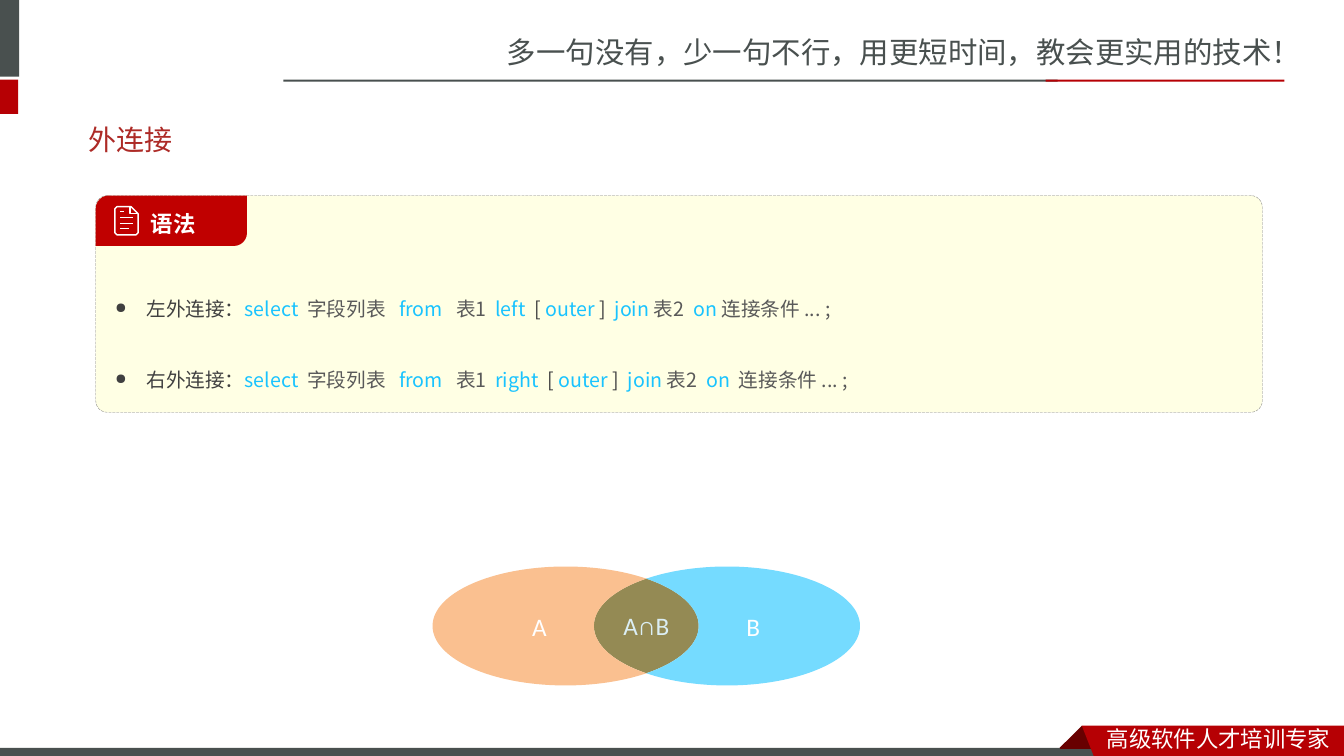
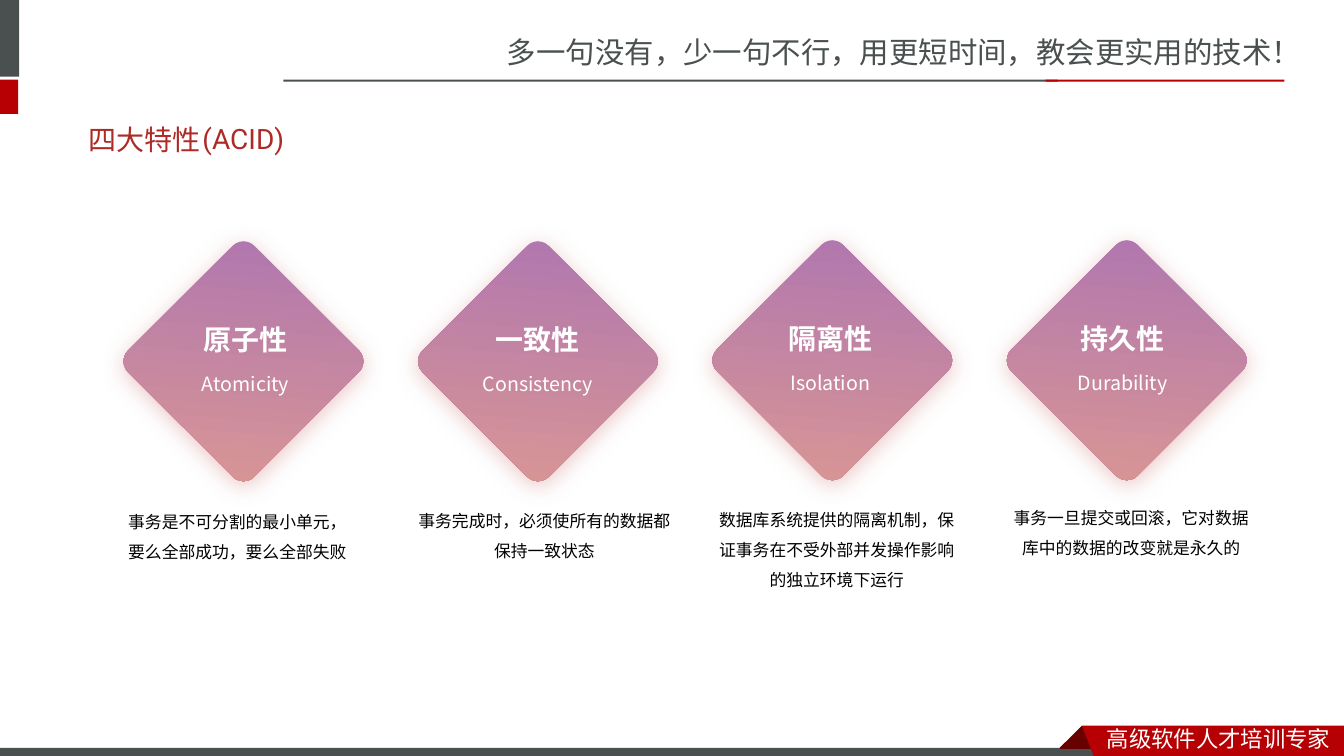
from dataclasses import dataclass
from math import acos, cos, degrees, radians, sin, tan

from lxml.etree import SubElement
from pptx import Presentation
from pptx.dml.color import RGBColor
from pptx.enum.dml import MSO_LINE
from pptx.enum.shapes import MSO_SHAPE
from pptx.enum.text import MSO_ANCHOR, PP_ALIGN
from pptx.oxml.ns import qn
from pptx.util import Inches, Pt


@dataclass(frozen=True)
class Theme:
    grey: str = "49504F"
    red: str = "B60004"
    fold: str = "680000"
    title: str = "AD2A26"
    white: str = "FFFFFF"
    black: str = "000000"
    panel: str = "FFFFE4"
    panel_edge: str = "808080"
    tab: str = "C00000"
    label: str = "404040"
    operand: str = "595959"
    keyword: str = "19C3FF"
    set_a: str = "FAC090"
    set_b: str = "75DBFF"
    overlap: str = "948A54"
    overlap_text: str = "DBEEF4"
    purple: str = "AF76B0"
    pink: str = "D99694"
    sc: str = "Noto Sans CJK SC"
    jp: str = "Noto Sans CJK JP"
    title_font: str = "Roboto"
    set_font: str = "Calibri"
    slogan_size: int = 21
    heading_size: int = 20
    set_size: int = 18
    tab_size: int = 16
    code_size: int = 14
    body_size: int = 12


T = Theme()

SLOGAN = "多一句没有，少一句不行，用更短时间，教会更实用的技术！"
FOOTER = "高级软件人才培训专家"
# left, top, width, height, colour
BANDS = [
    (-0.06, 0, 0.25, 0.76, T.grey),
    (-0.06, 0.79, 0.24, 0.34, T.red),
    (2.81, 0.79, 7.68, 0.02, T.grey),
    (10.37, 0.79, 2.37, 0.02, T.red),
    (-0.01, 7.42, 11, 0.11, T.grey),
]
RIBBON_FOLD = [(10.73, 7.2), (10.95, 7.42), (10.94, 7.43), (10.52, 7.43), (10.51, 7.42)]
RIBBON = [(10.73, 7.2), (13.33, 7.2), (13.33, 7.54), (10.86, 7.53)]

# label, side, spaces after "on"
JOINS = [("左外连接：", "left", 1), ("右外连接：", "right", 2)]
DOCUMENT_STROKES = [
    [(1.16, 2.05), (1.3, 2.05), (1.37, 2.12), (1.37, 2.31), (1.35, 2.33),
     (1.16, 2.33), (1.14, 2.31), (1.14, 2.07), (1.16, 2.05)],
    [(1.29, 2.05), (1.29, 2.12), (1.37, 2.12)],
    [(1.19, 2.1), (1.23, 2.1)],
    [(1.19, 2.16), (1.32, 2.16)],
    [(1.19, 2.22), (1.32, 2.22)],
    [(1.19, 2.27), (1.28, 2.27)],
]

# name, English name, diamond top, description, its left, top, width, height
PROPERTIES = [
    ("原子性", "Atomicity", 2.7, "事务是不可分割的最小单元，要么全部成功，要么全部失败",
     (1.17, 4.93, 2.37, 0.67)),
    ("一致性", "Consistency", 2.7, "事务完成时，必须使所有的数据都保持一致状态",
     (4.01, 4.92, 2.78, 0.67)),
    ("隔离性", "Isolation", 2.69,
     "数据库系统提供的隔离机制，保证事务在不受外部并发操作影响的独立环境下运行",
     (7, 4.91, 2.6, 0.98)),
    ("持久性", "Durability", 2.69, "事务一旦提交或回滚，它对数据库中的数据的改变就是永久的",
     (9.92, 4.89, 2.6, 0.67)),
]


def box(*lengths):
    return [Inches(length) for length in lengths]


def style_run(run, size, color, font, bold=False, east_asian=None):
    run.font.size = Pt(size)
    run.font.bold = bold
    run.font.color.rgb = RGBColor.from_string(color)
    run.font.name = font
    SubElement(run._r.get_or_add_rPr(), qn("a:ea"), typeface=east_asian or font)


def write(shape, text, size, color, font=T.sc, bold=False, align=PP_ALIGN.LEFT,
          leading=None, east_asian=None, anchor=None):
    shape.text_frame.text = text
    if anchor is not None:
        shape.text_frame.vertical_anchor = anchor
    paragraph = shape.text_frame.paragraphs[0]
    paragraph.alignment = align
    if leading:
        paragraph.line_spacing = Pt(leading)
    style_run(paragraph.runs[0], size, color, font, bold, east_asian)


def add_text(slide, place, text, size, color, **style):
    label = slide.shapes.add_textbox(*box(*place))
    label.text_frame.word_wrap = True
    write(label, text, size, color, **style)


def paint(shape, color):
    shape.shadow.inherit = False
    shape.fill.solid()
    shape.fill.fore_color.rgb = RGBColor.from_string(color)
    shape.line.fill.background()
    return shape


def add_block(slide, kind, place, color):
    return paint(slide.shapes.add_shape(kind, *box(*place)), color)


def add_outline(slide, points, color):
    start, *rest = [box(*point) for point in points]
    builder = slide.shapes.build_freeform(*start, scale=1.0)
    builder.add_line_segments(rest, close=True)
    return paint(builder.convert_to_shape(), color)


def bend(shape):
    """Turn each three line segments of an outline into one Bézier curve."""
    lines = list(shape.element.iter(qn("a:lnTo")))
    for first, second, third in zip(lines[::3], lines[1::3], lines[2::3]):
        first.tag = qn("a:cubicBezTo")
        for line in (second, third):
            first.append(line[0])
            line.getparent().remove(line)


def furnish_layout(slide, layout):
    """Draw the shared bands, slogan and ribbon, then move them to the layout."""
    add_text(slide, (4.93, 0.29, 8.41, 0.47), SLOGAN, T.slogan_size, T.grey)
    for *place, color in BANDS:
        add_block(slide, MSO_SHAPE.RECTANGLE, place, color)
    add_outline(slide, RIBBON_FOLD, T.fold)
    add_outline(slide, RIBBON, T.red)
    add_text(slide, (10.88, 7.14, 2.45, 0.37), FOOTER, T.tab_size, T.white)
    for shape in list(slide.shapes):
        if not shape.is_placeholder:
            layout.shapes.element.append(shape.element)


def set_title(slide, text):
    title = slide.shapes.title
    title.left, title.top, title.width, title.height = box(0.78, 1.1, 11.7, 0.57)
    write(title, text, T.heading_size, T.title, font=T.title_font, east_asian=T.sc,
          anchor=MSO_ANCHOR.MIDDLE)


def join_syntax(label, side, gap_after_on):
    """List the parts of a join as text, colour and gap after it in spaces."""
    return [
        (label, T.label, 0), ("select", T.keyword, 2), ("字段列表", T.operand, 3),
        ("from", T.keyword, 3), ("表1", T.operand, 2), (side, T.keyword, 2),
        ("[", T.label, 1), ("outer", T.keyword, 1), ("]", T.label, 2),
        ("join", T.keyword, 1), ("表2", T.operand, 2), ("on", T.keyword, gap_after_on),
        ("连接条件 ... ;", T.operand, 0),
    ]


def add_join(paragraph, join):
    properties = paragraph._p.get_or_add_pPr()
    properties.set("marL", str(Inches(0.31)))
    properties.set("indent", str(Inches(-0.31)))
    bullet_color = SubElement(properties, qn("a:buClr"))
    SubElement(bullet_color, qn("a:srgbClr"), val=T.label)
    SubElement(properties, qn("a:buSzPct"), val="75000")
    SubElement(properties, qn("a:buChar"), char="●")
    paragraph.alignment = PP_ALIGN.LEFT
    paragraph.line_spacing = Pt(50.7)
    for text, color, gap in join_syntax(*join):
        run = paragraph.add_run()
        run.text = text + " " if gap == 1 else text
        style_run(run, T.code_size, color, T.jp)
        if gap > 1:
            spacer = paragraph.add_run()
            spacer.text = " "
            style_run(spacer, T.code_size, color, T.jp)
            spacer._r.get_or_add_rPr().set("spc", str((gap - 1) * 310))


def add_syntax_panel(slide):
    panel = add_block(slide, MSO_SHAPE.ROUNDED_RECTANGLE, (0.95, 1.94, 11.57, 2.15), T.panel)
    panel.adjustments[0] = 0.053
    panel.line.color.rgb = RGBColor.from_string(T.panel_edge)
    panel.line.width = Pt(0.25)
    panel.line.dash_style = MSO_LINE.LONG_DASH
    frame = panel.text_frame
    frame.vertical_anchor = MSO_ANCHOR.TOP
    frame.margin_left, frame.margin_top, frame.margin_right, frame.margin_bottom = box(
        0.16, 0.5, 0.08, 0.28)
    for index, join in enumerate(JOINS):
        add_join(frame.add_paragraph() if index else frame.paragraphs[0], join)

    tab = add_block(slide, MSO_SHAPE.ROUND_2_DIAG_RECTANGLE, (0.95, 1.94, 1.5, 0.5), T.tab)
    tab.adjustments[0], tab.adjustments[1] = 0.258, 0
    frame = tab.text_frame
    frame.margin_left, frame.margin_top, frame.margin_bottom = box(0.51, 0.05, 0)
    write(tab, "语法", T.tab_size, T.white, font=T.jp, bold=True)

    first, *others = [[box(*point) for point in stroke] for stroke in DOCUMENT_STROKES]
    builder = slide.shapes.build_freeform(*first[0], scale=1.0)
    builder.add_line_segments(first[1:], close=False)
    for start, *rest in others:
        builder.move_to(*start)
        builder.add_line_segments(rest, close=False)
    document = builder.convert_to_shape()
    document.shadow.inherit = False
    document.fill.background()
    document.line.color.rgb = RGBColor.from_string(T.white)
    document.line.width = Pt(1)


def add_venn(slide):
    center_a, center_b, middle = 5.61, 7.21, 6.21
    radius_x, radius_y = 1.32, 0.59
    cross = degrees(acos((center_b - center_a) / 2 / radius_x))

    def arc(center, *stops):
        """Give two control points and an end point for each pair of angles."""
        points = []
        for start, end in zip(stops, stops[1:]):
            a, b = radians(start), radians(end)
            k = 4 / 3 * tan((b - a) / 4)
            unit = [(cos(a) - k * sin(a), sin(a) + k * cos(a)),
                    (cos(b) + k * sin(b), sin(b) - k * cos(b)), (cos(b), sin(b))]
            points += [(center + radius_x * x, middle + radius_y * y) for x, y in unit]
        return points

    inner_a = arc(center_a, cross, 0, -cross)
    inner_b = arc(center_b, 180 + cross, 180, 180 - cross)
    outer_a = arc(center_a, cross, 90, 180, 270, 360 - cross)
    outer_b = arc(center_b, 180 + cross, 270, 360, 450, 540 - cross)
    regions = [
        ("A∩B", inner_a + inner_b, T.overlap, T.overlap_text),
        ("B", outer_b + inner_a, T.set_b, T.white),
        ("A", outer_a + inner_b, T.set_a, T.white),
    ]
    for name, points, fill, color in regions:
        region = add_outline(slide, points[-1:] + points, fill)
        bend(region)
        write(region, name, T.set_size, color, font=T.set_font, align=PP_ALIGN.CENTER,
              anchor=MSO_ANCHOR.MIDDLE)


def add_diamond(slide, left, top, side):
    diamond = add_block(slide, MSO_SHAPE.ROUNDED_RECTANGLE, (left, top, side, side), T.pink)
    diamond.adjustments[0] = 0.085
    diamond.rotation = 45
    diamond.fill.gradient()
    diamond.fill.gradient_angle = 310
    for stop, color in zip(diamond.fill.gradient_stops, (T.purple, T.pink)):
        stop.color.rgb = RGBColor.from_string(color)
    effects = diamond.element.spPr.find(qn("a:effectLst"))
    glow = SubElement(effects, qn("a:outerShdw"), blurRad=str(Pt(16)), dist=str(Pt(3)),
                      dir="5400000", algn="t", rotWithShape="0")
    glow_color = SubElement(glow, qn("a:srgbClr"), val=T.pink)
    SubElement(glow_color, qn("a:alpha"), val="52000")


def add_properties(slide):
    for index, (name, english, top, description, place) in enumerate(PROPERTIES):
        label_left = 1.46 + index * 2.9
        add_diamond(slide, 1.53 + index * 2.92, top, 1.77)
        add_text(slide, (label_left, top + 0.45, 1.95, 0.44), name, T.heading_size,
                 T.white, font=T.jp, bold=True, align=PP_ALIGN.CENTER)
        add_text(slide, (label_left, top + 0.83, 1.95, 0.41), english, T.code_size,
                 T.white, align=PP_ALIGN.CENTER, leading=25)
        add_text(slide, place, description, T.body_size, T.black,
                 align=PP_ALIGN.CENTER, leading=21.5)


def main():
    deck = Presentation()
    deck.slide_width, deck.slide_height = box(13.33, 7.5)
    layout = deck.slide_layouts.get_by_name("Title Only")

    outer_join = deck.slides.add_slide(layout)
    furnish_layout(outer_join, layout)
    set_title(outer_join, "外连接")
    add_syntax_panel(outer_join)
    add_venn(outer_join)

    acid = deck.slides.add_slide(layout)
    set_title(acid, "四大特性")
    add_text(acid, (1.91, 1.09, 1.1, 0.57), "(ACID)", T.heading_size, T.title,
             font=T.title_font, anchor=MSO_ANCHOR.MIDDLE)
    add_properties(acid)

    deck.save("out.pptx")


if __name__ == "__main__":
    main()
